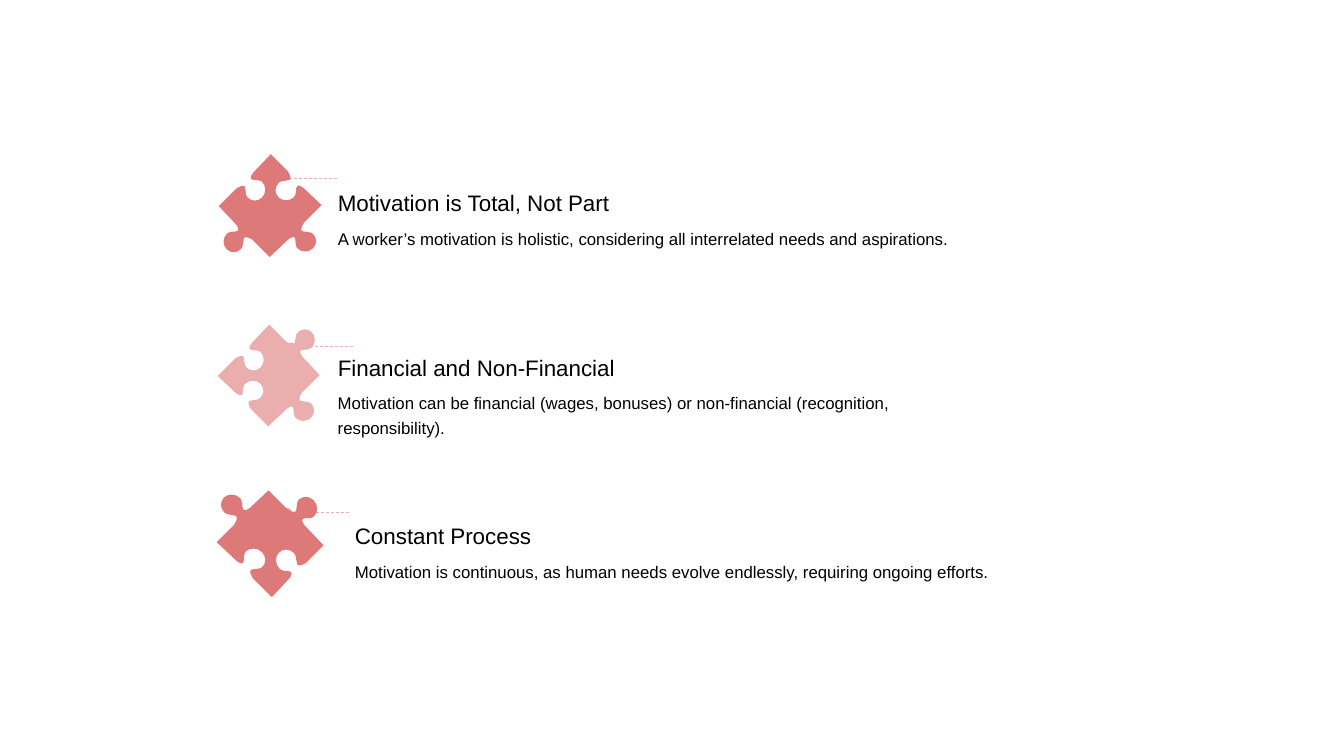
from lxml import etree
from pptx import Presentation
from pptx import util as u
from pptx.dml.color import RGBColor
from pptx.enum import dml, shapes, text
from pptx.oxml.ns import qn

ROSE = RGBColor(0xDD, 0x79, 0x79)
PINK = RGBColor(0xEA, 0xAE, 0xAE)
BLACK = RGBColor(0, 0, 0)
CELL = 0.1
PAD = 3.1

KNOB_START = (0.34, 0.34)
KNOB = [
    ((0.44, 0.40), (0.48, 0.40), (0.50, 0.38)),
    ((0.52, 0.36), (0.50, 0.32), (0.52, 0.28)),
    ((0.52, 0.22), (0.54, 0.18), (0.56, 0.16)),
    ((0.64, 0.08), (0.76, 0.08), (0.84, 0.16)),
    ((0.92, 0.24), (0.92, 0.38), (0.84, 0.46)),
    ((0.84, 0.46), (0.80, 0.50), (0.74, 0.50)),
    ((0.70, 0.50), (0.64, 0.50), (0.62, 0.52)),
    ((0.60, 0.54), (0.62, 0.58), (0.66, 0.64)),
]

ROWS = [
    dict(head="Motivation is Total, Not Part",
         body="A worker’s motivation is holistic, considering all interrelated "
              "needs and aspirations.",
         color=ROSE, sides="SKKS", mid=(26.8, 20.4), half=5.1, skew=-0.01,
         lead=(27.3, 17.7), left=30.4, tops=(18.8, 22.3),
         wide=73.8, highs=(2.6, 4.1)),
    dict(head="Financial and Non-Financial",
         body="Motivation can be financial (wages, bonuses) or non-financial "
              "(recognition, responsibility).",
         color=PINK, sides="KKSS", mid=(26.65, 37.25), half=5.05, skew=-0.01,
         lead=(28.9, 34.4), left=30.4, tops=(35.2, 38.6),
         wide=71, highs=(2.6, 4.1)),
    dict(head="Constant Process",
         body="Motivation is continuous, as human needs evolve endlessly, "
              "requiring ongoing efforts.",
         color=ROSE, sides="KSSK", mid=(26.8, 53.95), half=5.3, skew=0.03,
         lead=(28.5, 50.8), left=32.1, tops=(51.57, 55.3),
         wide=72.1, highs=(2.9, 4.6)),
]


def grid(count):
    return u.Inches(count * CELL)


def outline(sides):
    side = [(0, 0), KNOB_START] + [point for bend in KNOB for point in bend]
    points = []
    for turn, kind in enumerate(sides):
        for x, y in side:
            if kind == "S":
                x, y = y, x
            y -= 1
            for _ in range(turn):
                x, y = -y, x
            points.append((x, y))
    return points


def bend_sides(piece):
    lines = list(piece._element.iter(qn("a:lnTo")))
    span = 2 + 3 * len(KNOB)
    for first in range(1, len(lines), span):
        for bend in range(len(KNOB)):
            at = first + 3 * bend
            lead, *rest = lines[at:at + 3]
            cubic = etree.Element(qn("a:cubicBezTo"))
            lead.addprevious(cubic)
            for line in (lead, *rest):
                cubic.append(line[0])
                line.getparent().remove(line)


def add_piece(slide, row):
    mid_x, mid_y = row["mid"]
    half, skew = row["half"], row["skew"]
    points = [(grid(mid_x + half * (x + skew * y)),
               grid(mid_y + half * (y + skew * x)))
              for x, y in outline(row["sides"])]
    pen = slide.shapes.build_freeform(*points[0])
    pen.add_line_segments(points[1:], close=True)
    piece = pen.convert_to_shape()
    bend_sides(piece)
    piece.shadow.inherit = False
    piece.fill.solid()
    piece.fill.fore_color.rgb = row["color"]
    piece.line.fill.background()


def add_lead(slide, left, top):
    lead = slide.shapes.add_connector(
        shapes.MSO_CONNECTOR.STRAIGHT,
        grid(left), grid(top), grid(left + 6.15), grid(top))
    lead.line.color.rgb = PINK
    lead.line.width = u.Pt(0.5)
    lead.line.dash_style = dml.MSO_LINE.DASH
    props = lead.line._get_or_add_ln()
    etree.SubElement(props, qn("a:headEnd"), type="oval")
    etree.SubElement(lead._element.spPr, qn("a:effectLst"))


def add_text(slide, words, box, size, wrap, anchor, space):
    label = slide.shapes.add_textbox(*map(grid, box))
    frame = label.text_frame
    frame.word_wrap = wrap
    frame.vertical_anchor = anchor
    frame.margin_left = frame.margin_right = grid(PAD)
    frame.margin_top = frame.margin_bottom = 0
    para = frame.paragraphs[0]
    para.text = words
    para.line_spacing = space
    para.font.name = "Arial"
    para.font.size = u.Pt(size)
    para.font.color.rgb = BLACK


def add_row(slide, row):
    add_lead(slide, *row["lead"])
    add_piece(slide, row)
    left, (head_top, body_top) = row["left"], row["tops"]
    head_high, body_high = row["highs"]
    add_text(slide, row["head"], (left, head_top, 56.1, head_high),
             16, False, text.MSO_ANCHOR.BOTTOM, 1.0)
    add_text(slide, row["body"], (left, body_top, row["wide"], body_high),
             12, True, text.MSO_ANCHOR.TOP, 1.2)


def main():
    deck = Presentation()
    deck.slide_width = u.Inches(13.33)
    deck.slide_height = u.Inches(7.5)
    slide = deck.slides.add_slide(deck.slide_layouts[6])
    for row in ROWS:
        add_row(slide, row)
    deck.save("out.pptx")


if __name__ == "__main__":
    main()
